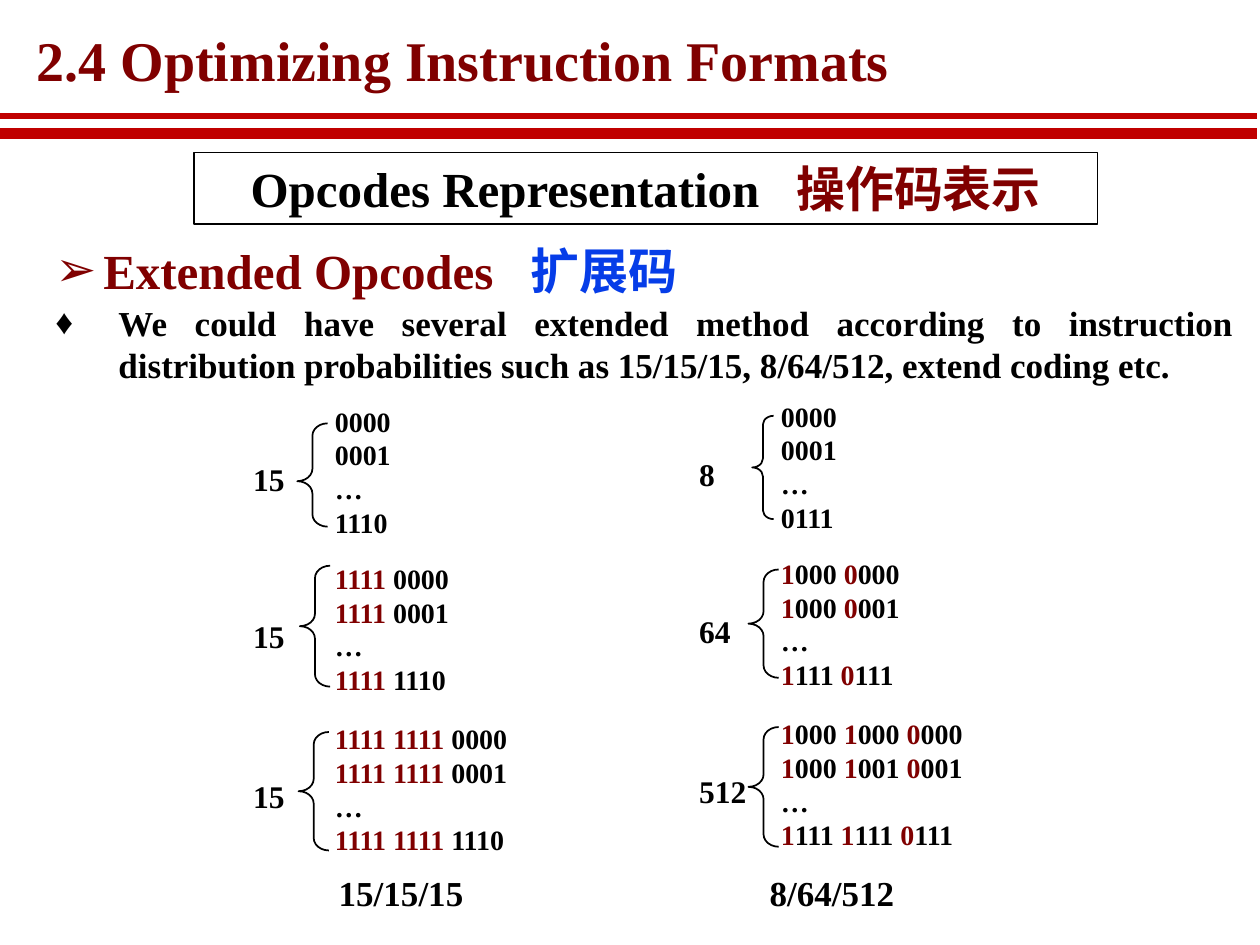
from pptx import Presentation
from pptx.dml.color import RGBColor
from pptx.enum.shapes import MSO_CONNECTOR as CONNECTOR, MSO_SHAPE as SHAPE
from pptx.enum.text import MSO_ANCHOR as ANCHOR, MSO_AUTO_SIZE as FIT, PP_ALIGN as ALIGN
from pptx.oxml.ns import qn
from pptx.util import Inches, Pt
from lxml import etree

BLACK, MAROON, RED, BLUE = "000000", "800000", "C00000", "063DE8"


def rgb(value):
    return RGBColor.from_string(value)


def write(shape, text, size=16, color=BLACK, accent=MAROON, align=ALIGN.LEFT,
          wrap=True, anchor=ANCHOR.TOP, bullet=None, indent=0, gap=0, leading=1.0):
    """Write lines of text; parts between bars take the accent colour.

    gap is the extra width, in points, of a part that is a single space.
    """
    frame = shape.text_frame
    frame.word_wrap, frame.auto_size, frame.vertical_anchor = wrap, FIT.NONE, anchor
    for number, line in enumerate(text.split("\n")):
        paragraph = frame.add_paragraph() if number else frame.paragraphs[0]
        paragraph.alignment, paragraph.line_spacing = align, leading
        paragraph.space_before = Pt(0)
        if bullet:
            properties = paragraph._p.get_or_add_pPr()
            properties.set("marL", str(Inches(indent)))
            properties.set("indent", str(-Inches(indent)))
            etree.SubElement(properties, qn("a:buChar")).set("char", bullet)
        for index, part in enumerate(line.split("|")):
            if not part:
                continue
            run = paragraph.add_run()
            run.text = part
            font = run.font
            font.name, font.size, font.bold = "Times New Roman", Pt(size), True
            font.color.rgb = rgb(accent if index % 2 else color)
            if part == " ":
                run._r.get_or_add_rPr().set("spc", str(gap * 100))


prs = Presentation()
prs.slide_width, prs.slide_height = Inches(10), Inches(7.5)
slide = prs.slides.add_slide(prs.slide_layouts[3])
shapes = slide.shapes
title, heading, method = slide.placeholders

# Title, heading and explanation
for part, box in ((title, (0.22, 0.25, 7.08, 0.52)),
                  (heading, (0.34, 1.86, 9.55, 0.57)),
                  (method, (0.34, 2.34, 9.55, 0.77))):
    part.left, part.top, part.width, part.height = map(Inches, box)

title_frame = title.text_frame
title_frame.margin_left = title_frame.margin_right = Inches(0.07)
title_frame.margin_top = title_frame.margin_bottom = Inches(0.03)
write(title, "2.4 Optimizing Instruction Formats", size=32, color=MAROON,
      wrap=False, anchor=ANCHOR.MIDDLE, leading=0.87)
write(heading, "Extended Opcodes|| |扩展码", size=28, color=MAROON, accent=BLUE,
      bullet="➢", indent=0.38, gap=14)
write(method, "We could have several extended method according to instruction "
      "distribution probabilities such as 15/15/15, 8/64/512, extend coding etc.",
      size=20, align=ALIGN.JUSTIFY, bullet="♦", indent=0.5)

# Double rule under the title
for y, weight in ((1.06, 6), (0.92, 3)):
    rule = shapes.add_connector(CONNECTOR.STRAIGHT, Inches(-0.02), Inches(y),
                                Inches(9.98), Inches(y))
    rule.line.color.rgb, rule.line.width = rgb(RED), Pt(weight)
    etree.SubElement(rule._element.spPr, qn("a:effectLst"))

# Framed topic
topic = shapes.add_shape(SHAPE.RECTANGLE, Inches(1.54), Inches(1.21),
                         Inches(7.17), Inches(0.57))
topic.shadow.inherit = False
topic.fill.background()
topic.line.color.rgb, topic.line.width = rgb(BLACK), Pt(1)
write(topic, "Opcodes Representation|| |操作码表示", size=28, align=ALIGN.CENTER, gap=14)

# Code groups: count, codes, brace box, brace point
FIFTEENS = [
    ("15", "0000\n0001\n…\n1110", (2.36, 3.36, 0.24, 0.82), 0.56),
    ("15", "|1111| 0000\n|1111| 0001\n…\n|1111| 1110", (2.38, 4.49, 0.24, 0.96), 0.5),
    ("15", "|1111 1111 |0000\n|1111 1111 |0001\n…\n|1111 1111 |1110",
     (2.37, 5.81, 0.24, 0.94), 0.5),
]
POWERS = [
    ("8", "0000\n0001\n…\n0111", (5.97, 3.3, 0.17, 0.82), 0.5),
    ("64", "|1|000 |0|000\n|1|000 |0|001\n…\n|1|111 |0|111", (5.94, 4.52, 0.24, 0.86), 0.5),
    ("512", "|1|000| 1|000| 0|000\n|1|000| 1|001| 0|001\n…\n|1|111| 1|111| 0|111",
     (5.94, 5.77, 0.24, 0.95), 0.5),
]
GROUP_TOPS = (3.16, 4.41, 5.68)

# Columns: count left, codes left, rise, caption, caption left
for count_x, codes_x, rise, groups, caption, caption_x in (
        (1.91, 2.56, 0, FIFTEENS, "15/15/15", 2.59),
        (5.45, 6.1, 0.04, POWERS, "8/64/512", 6.01)):
    for (count, codes, brace_box, point), group_top in zip(groups, GROUP_TOPS):
        top = group_top - rise
        codes_box = shapes.add_textbox(Inches(codes_x), Inches(top), Inches(1.66), Inches(1.18))
        write(codes_box, codes, wrap=False)
        brace = shapes.add_shape(SHAPE.LEFT_BRACE, *map(Inches, brace_box))
        brace.adjustments[0], brace.adjustments[1] = 0.41, point
        brace.shadow.inherit = False
        brace.fill.background()
        brace.line.color.rgb, brace.line.width = rgb(BLACK), Pt(1)
        count_box = shapes.add_textbox(Inches(count_x), Inches(top + 0.44),
                                       Inches(0.58), Inches(0.4))
        write(count_box, count, size=18, wrap=False)
    caption_box = shapes.add_textbox(Inches(caption_x), Inches(6.87), Inches(1.2), Inches(0.44))
    write(caption_box, caption, size=20, wrap=False)

prs.save("out.pptx")
